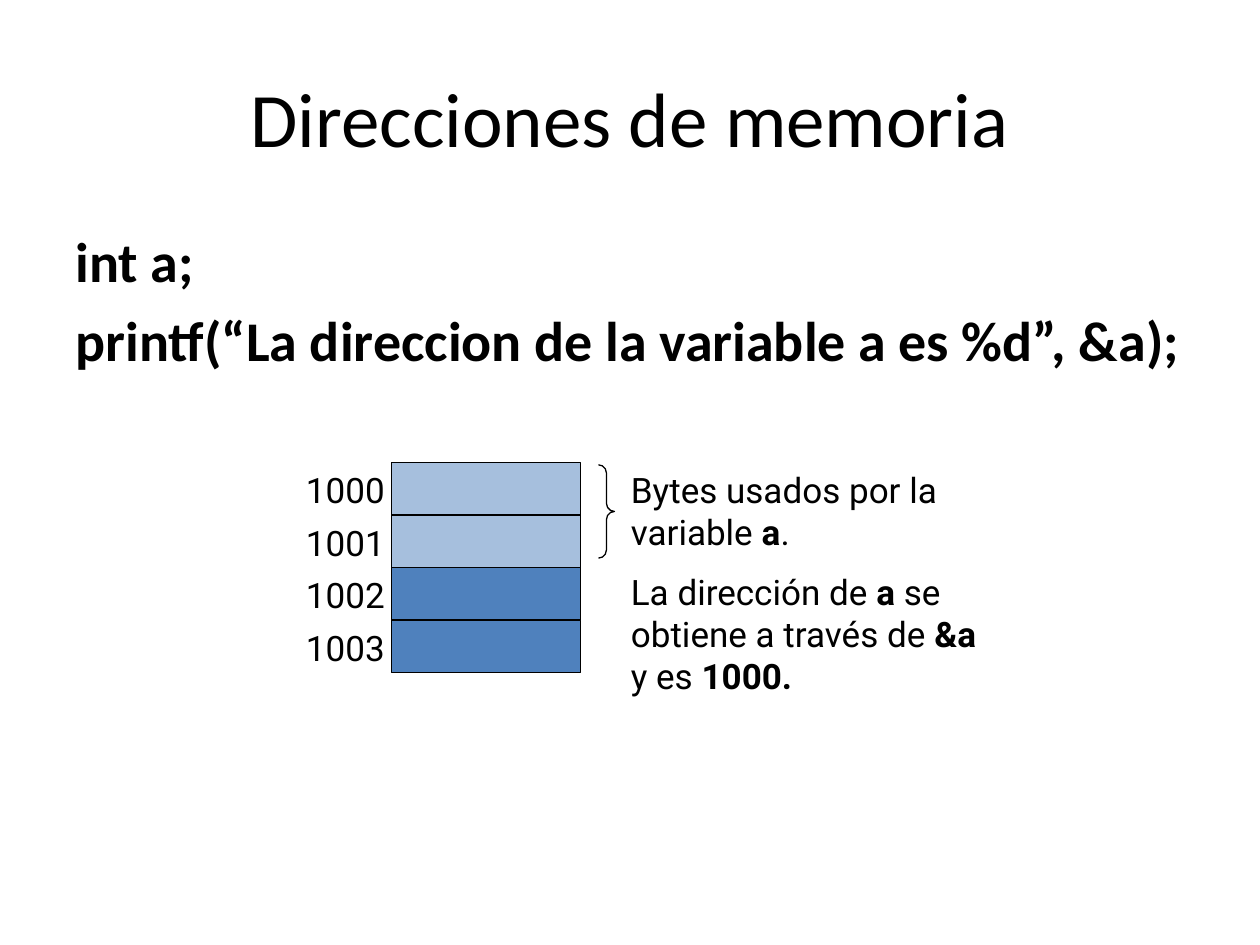
import dataclasses

import pptx
import pptx.dml.color
import pptx.enum.shapes
import pptx.enum.text
import pptx.oxml
import pptx.oxml.ns
import pptx.util

BLACK = pptx.dml.color.RGBColor(0x00, 0x00, 0x00)
BLUE = pptx.dml.color.RGBColor(0x4F, 0x81, 0xBD)
SHAPES = pptx.enum.shapes.MSO_SHAPE
ANCHOR = pptx.enum.text.MSO_ANCHOR
FIT = pptx.enum.text.MSO_AUTO_SIZE
ALIGN = pptx.enum.text.PP_ALIGN
DRAWING = pptx.oxml.ns.nsdecls("a")

TITLE_FONT = {"name": "Calibri", "size": pptx.util.Pt(44)}
CODE_FONT = {"name": "Calibri", "size": pptx.util.Pt(32)}
NOTE_FONT = {"name": "Roboto", "size": pptx.util.Pt(20)}

CODE = ["int a;", "printf(“La direccion de la variable a es %d”, &a);"]
CELLS = [("1000", True), ("1001", True), ("1002", False), ("1003", False)]
NOTES = [
    [("Bytes usados por la variable ", False), ("a", True), (".", False)],
    [("La dirección de ", False), ("a ", True), ("se obtiene a través de ", False),
     ("&a ", True), ("y es", False), (" 1000.", True)],
]


@dataclasses.dataclass
class Box:
    """A rectangle whose inner boxes are given as shares of its size."""
    left: float
    top: float
    width: float
    height: float

    def inner(self, left, top, width, height):
        """Return the inner box at the given shares."""
        return Box(self.left + left * self.width, self.top + top * self.height,
                   width * self.width, height * self.height)

    def lengths(self):
        """Return left, top, width and height as whole lengths."""
        return [pptx.util.Emu(round(value)) for value in dataclasses.astuple(self)]


def apply_format(target, values):
    """Set each named value on the target."""
    for name, value in values.items():
        setattr(target, name, value)


def place(shape, box):
    """Move a shape into a box."""
    apply_format(shape, dict(zip(("left", "top", "width", "height"), box.lengths())))


def write_paragraphs(frame, paragraphs, font, para_format):
    """Write paragraphs of (text, bold) spans into a text frame."""
    for index, spans in enumerate(paragraphs):
        para = frame.add_paragraph() if index else frame.paragraphs[0]
        apply_format(para, para_format)
        for text, bold in spans:
            span = para.add_run()
            span.text = text
            apply_format(span.font, {**font, "bold": bold})
            span.font.color.rgb = BLACK


def add_note(shapes, box, paragraphs):
    """Add a wrapping text box of notes."""
    frame = shapes.add_textbox(*box.lengths()).text_frame
    apply_format(frame, {"word_wrap": True, "auto_size": FIT.SHAPE_TO_FIT_TEXT})
    write_paragraphs(frame, paragraphs, NOTE_FONT, {"space_before": pptx.util.Pt(10)})


def add_outlined(shapes, kind, box):
    """Add a preset shape with a thin black outline and no fill."""
    shape = shapes.add_shape(kind, *box.lengths())
    shape.shadow.inherit = False
    shape.fill.background()
    shape.line.color.rgb = BLACK
    shape.line.width = pptx.util.Pt(0.75)
    return shape


def fill_title(title, box):
    """Place and write the slide title."""
    place(title, box)
    apply_format(title.text_frame, {"vertical_anchor": ANCHOR.MIDDLE, "auto_size": FIT.NONE})
    write_paragraphs(title.text_frame, [[("Direcciones de memoria", False)]],
                     TITLE_FONT, {"alignment": ALIGN.CENTER})


def fill_code(body, box):
    """Place the body and write the code lines without bullets."""
    place(body, box)
    body.text_frame.auto_size = FIT.NONE
    write_paragraphs(body.text_frame, [[(line, True)] for line in CODE],
                     CODE_FONT, {"space_before": pptx.util.Pt(6.4)})
    for para in body.text_frame.paragraphs:
        properties = para._p.get_or_add_pPr()
        properties.set("marL", str(pptx.util.Inches(0.38)))
        properties.set("indent", str(pptx.util.Inches(-0.38)))
        properties.append(pptx.oxml.parse_xml(f"<a:buNone {DRAWING}/>"))


def draw_memory(page, box):
    """Draw the grouped memory cells with their addresses."""
    shapes = page.shapes.add_group_shape().shapes
    row = 1 / len(CELLS)
    for index, (address, used) in enumerate(CELLS):
        cell = add_outlined(shapes, SHAPES.RECTANGLE,
                            box.inner(0.34, index * row, 0.66, row))
        cell.fill.solid()
        cell.fill.fore_color.rgb = BLUE
        if used:
            color = cell._element.spPr.find(pptx.oxml.ns.qn("a:solidFill"))[0]
            color.append(pptx.oxml.parse_xml(f'<a:alpha {DRAWING} val="50000"/>'))
    for index, (address, used) in enumerate(CELLS):
        add_note(shapes, box.inner(0, index * row, 0.55, row), [[(address, False)]])


def draw_explanation(page, box):
    """Draw the brace and the notes beside it."""
    brace = add_outlined(page.shapes, SHAPES.RIGHT_BRACE, box.inner(0, 0.01, 0.04, 0.38))
    brace.adjustments[0] = 0.51
    brace.adjustments[1] = 0.5
    add_note(page.shapes, box.inner(0.05, 0, 0.95, 1), NOTES)


def main():
    """Build and save the slide."""
    deck = pptx.Presentation()
    deck.slide_width = pptx.util.Inches(10)
    deck.slide_height = pptx.util.Inches(7.5)
    page = deck.slides.add_slide(deck.slide_layouts[1])
    area = Box(0, 0, deck.slide_width, deck.slide_height)
    fill_title(page.shapes.title, area.inner(0.05, 0.04, 0.9, 1 / 6))
    fill_code(page.placeholders[1], area.inner(0.05, 1.75 / 7.5, 0.9, 0.66))
    draw_memory(page, area.inner(2.33 / 10, 3.67 / 7.5, 2.28 / 10, 1.67 / 7.5))
    draw_explanation(page, area.inner(4.75 / 10, 3.67 / 7.5, 3.17 / 10, 0.26))
    deck.save("out.pptx")


if __name__ == "__main__":
    main()
